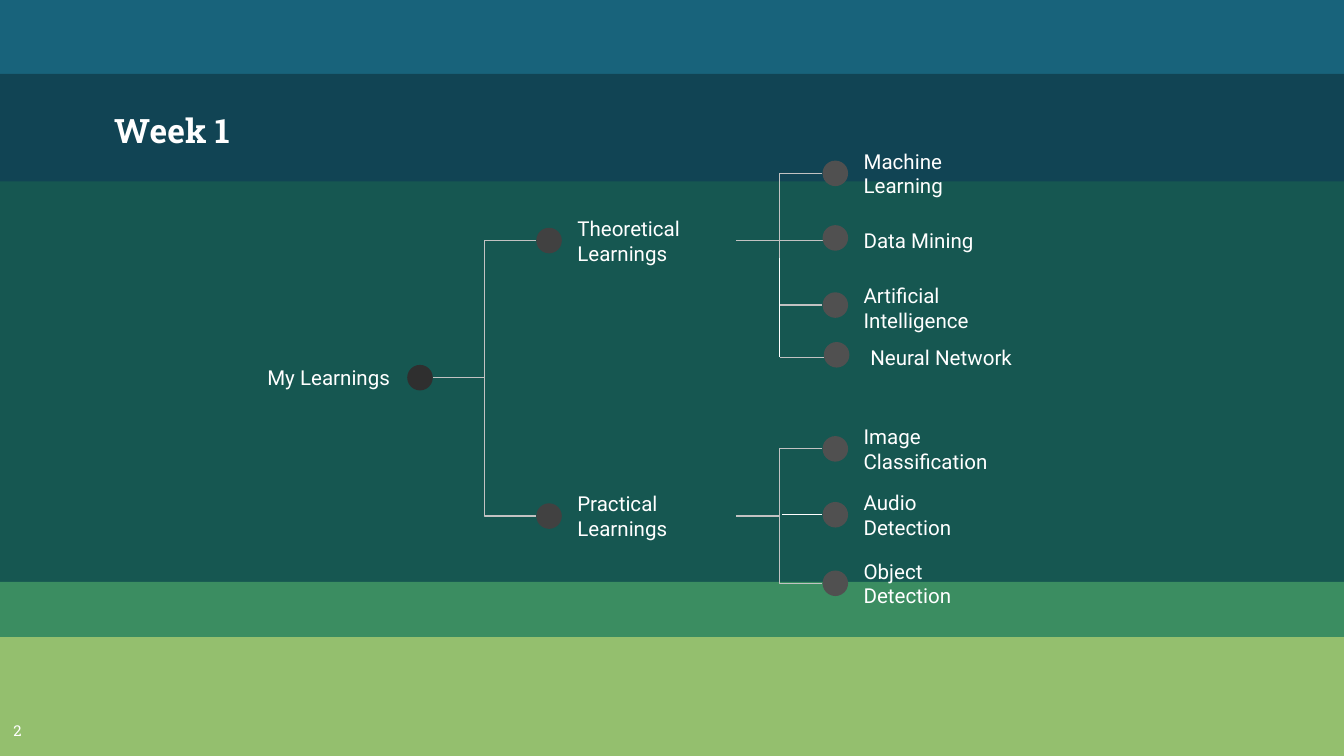
from dataclasses import dataclass

from pptx import Presentation
from pptx import util as u
from pptx.dml.color import RGBColor
from pptx.enum import shapes as kinds, text as txt
from pptx.oxml.xmlchemy import OxmlElement

WHITE, GREY = "FFFFFF", "C2C2C2"
DOT, HIGH = 0.19, 0.35
ROOT, STEM, LEAF = "2F2F2F", "414141", "505050"


@dataclass
class Band:
    top: float
    high: float
    fill: str


@dataclass
class Node:
    label: str
    x: float  # left edge of the dot
    y: float  # middle of the dot
    fill: str
    gap: float = DOT  # from dot's left edge to label's left edge
    wide: float = 1.29
    drop: float = 0  # label's middle below the dot's middle
    align: txt.PP_ALIGN = txt.PP_ALIGN.LEFT


@dataclass
class Link:
    x1: float
    y1: float
    x2: float
    y2: float
    color: str = GREY
    kind: kinds.MSO_CONNECTOR = kinds.MSO_CONNECTOR.STRAIGHT


BANDS = [
    Band(0, 0.58, "18637B"),
    Band(0.55, 0.8, "114454"),
    Band(4.33, 0.41, "3B8D61"),
    Band(4.74, 0.89, "94BF6E"),
]

X1, X2, X3 = 3.03, 3.99, 6.12
THEORY, MINE, PRACTICE = 1.79, 2.81, 3.84

NODES = [
    Node("My Learnings", X1, MINE, ROOT, gap=-1.3, align=txt.PP_ALIGN.RIGHT),
    Node("Theoretical Learnings", X2, THEORY, STEM),
    Node("Practical Learnings", X2, PRACTICE, STEM),
    Node("Machine Learning", X3, 1.29, LEAF),
    Node("Data Mining", X3, 1.77, LEAF, drop=0.02),
    Node("Artificial Intelligence", X3, 2.27, LEAF, drop=0.02),
    Node("Neural Network", X3 + 0.01, 2.64, LEAF, gap=0.23, wide=1.41, drop=0.02),
    Node("Image Classification", X3, 3.34, LEAF),
    Node("Audio Detection", X3, 3.83, LEAF),
    Node("Object Detection", X3, 4.34, LEAF),
]

FORKS = [
    (X1 + DOT, MINE, X2, (PRACTICE, THEORY)),
    (5.48, THEORY, X3, (1.29, 2.27)),
    (5.48, PRACTICE, X3, (3.34, 4.34)),
]

LINKS = [
    Link(x1, y1, x2, y2, kind=kinds.MSO_CONNECTOR.ELBOW)
    for x1, y1, x2, ends in FORKS
    for y2 in ends
] + [
    Link(5.82, 3.83, X3, 3.83, WHITE),
    Link(5.8, 1.92, 5.8, 2.66, WHITE),
    Link(5.73, THEORY, 6.22, THEORY),
    Link(5.8, 2.66, 6.29, 2.66),
]


def tint(code: str) -> RGBColor:
    return RGBColor.from_string(code)


def write(frame, words: str, size: float, font: str, align=txt.PP_ALIGN.LEFT,
          anchor=txt.MSO_ANCHOR.MIDDLE, bold: bool = False) -> None:
    frame.word_wrap = True
    frame.vertical_anchor = anchor
    frame.margin_left = frame.margin_right = u.Inches(0.1)
    frame.margin_top = frame.margin_bottom = u.Inches(0.1)
    para = frame.paragraphs[0]
    para.alignment = align
    run = para.add_run()
    run.text = words
    run.font.size = u.Pt(size)
    run.font.name = font
    run.font.bold = bold
    run.font.color.rgb = tint(WHITE)


def add_form(slide, kind, x: float, y: float, wide: float, high: float,
             fill: str = ""):
    """Add a preset shape without outline; an empty fill leaves it clear."""
    form = slide.shapes.add_shape(
        kind, u.Inches(x), u.Inches(y), u.Inches(wide), u.Inches(high))
    form.shadow.inherit = False
    form.line.fill.background()
    if fill:
        form.fill.solid()
        form.fill.fore_color.rgb = tint(fill)
    else:
        form.fill.background()
    return form


def add_link(slide, link: Link) -> None:
    line = slide.shapes.add_connector(
        link.kind, u.Inches(link.x1), u.Inches(link.y1),
        u.Inches(link.x2), u.Inches(link.y2))
    line.line.color.rgb = tint(link.color)
    line.line.width = u.Pt(0.75)
    line._element.spPr.append(OxmlElement("a:effectLst"))


def add_node(slide, node: Node) -> None:
    label = add_form(slide, kinds.MSO_SHAPE.ROUNDED_RECTANGLE, node.x + node.gap,
                     node.y + node.drop - HIGH / 2, node.wide, HIGH)
    write(label.text_frame, node.label, 11, "Roboto", node.align)
    add_form(slide, kinds.MSO_SHAPE.OVAL, node.x, node.y - DOT / 2,
             DOT, DOT, node.fill)


def add_title(slide, words: str) -> None:
    title = slide.shapes.title
    title.left, title.top = u.Inches(0.75), u.Inches(0.55)
    title.width, title.height = u.Inches(7.21), u.Inches(0.83)
    write(title.text_frame, words, 18, "Roboto Slab", bold=True)
    slide.shapes._spTree.append(title._element)  # in front of the bands


def main() -> None:
    deck = Presentation()
    deck.slide_width = u.Inches(10)
    deck.slide_height = deck.slide_width * 9 // 16
    slide = deck.slides.add_slide(deck.slide_layouts[5])
    back = slide.background.fill
    back.solid()
    back.fore_color.rgb = tint("165751")

    for band in BANDS:
        add_form(slide, kinds.MSO_SHAPE.RECTANGLE, 0, band.top, 10, band.high,
                 band.fill)
    add_title(slide, "Week 1")
    page = slide.shapes.add_textbox(
        u.Inches(-0.06), u.Inches(5.3), u.Inches(0.38), u.Inches(0.35))
    write(page.text_frame, "2", 8, "Roboto Slab", txt.PP_ALIGN.CENTER,
          txt.MSO_ANCHOR.TOP)
    for link in LINKS:
        add_link(slide, link)
    for node in NODES:
        add_node(slide, node)
    deck.save("out.pptx")


if __name__ == "__main__":
    main()
